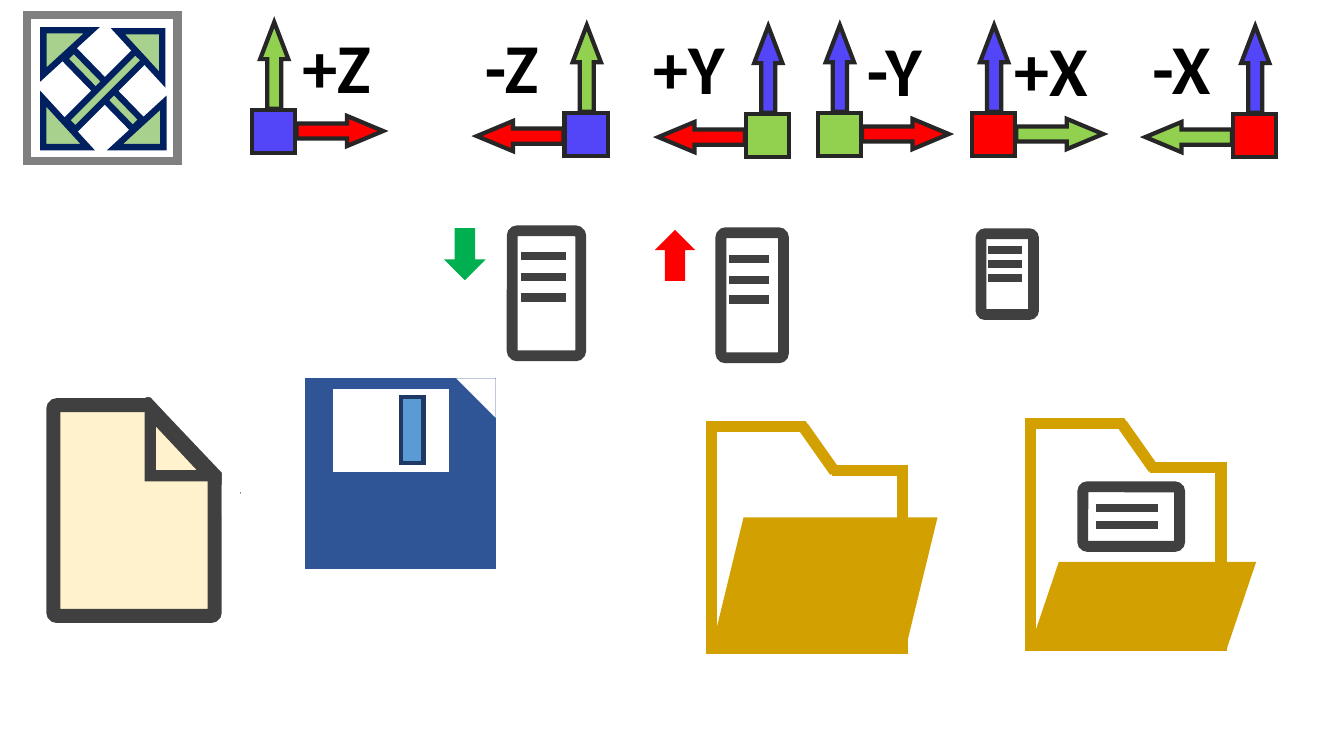
import pptx
import pptx.dml.color
import pptx.enum.shapes
import pptx.util
from lxml import etree
from pptx.oxml.ns import qn

Inches = pptx.util.Inches
Pt = pptx.util.Pt
MSO = pptx.enum.shapes.MSO_SHAPE

COLORS = {
    "white": "FFFFFF", "black": "000000", "dark": "404040", "outline": "262626",
    "red": "FF0000", "lime": "92D050", "violet": "5346F8", "green": "00B050",
    "sage": "A9D18E", "navy": "002060", "gray": "808080", "gold": "D2A000",
    "cream": "FFF2CC", "disk": "2F5597", "slider": "5B9BD5", "slider_edge": "203864",
}


def rgb(name):
    return pptx.dml.color.RGBColor.from_string(COLORS[name])


def shape(shapes, kind, x, y, w, h, fill=None, line=None, width=1, rot=0, adj=()):
    sp = shapes.add_shape(kind, Inches(x), Inches(y), Inches(w), Inches(h))
    sp.shadow.inherit = False
    sp.rotation = rot
    for i, value in enumerate(adj):
        sp.adjustments[i] = value
    if fill:
        sp.fill.solid()
        sp.fill.fore_color.rgb = rgb(fill)
    else:
        sp.fill.background()
    if line:
        sp.line.color.rgb = rgb(line)
        sp.line.width = Pt(width)
        # Sharp corners
        miter = etree.SubElement(sp.line._get_or_add_ln(), qn("a:miter"))
        miter.set("lim", "800000")
    else:
        sp.line.fill.background()
    return sp


def stroke(shapes, x1, y1, x2, y2, color, width):
    cx = shapes.add_connector(pptx.enum.shapes.MSO_CONNECTOR.STRAIGHT,
                              Inches(x1), Inches(y1), Inches(x2), Inches(y2))
    cx.line.color.rgb = rgb(color)
    cx.line.width = Pt(width)
    etree.SubElement(cx._element.spPr, qn("a:effectLst"))


def label(shapes, text, x, y):
    tf = shapes.add_textbox(Inches(x), Inches(y), Inches(1.51), Inches(0.94)).text_frame
    tf.word_wrap = True
    p = tf.paragraphs[0]
    p.text = text
    p.font.name = "Calibri"
    p.font.size = Pt(50)
    p.font.bold = True
    p.font.color.rgb = rgb("black")


def move_icon(s):
    shapes = s.shapes.add_group_shape().shapes
    arrowheads = [(0.43, 0.98, 0), (1.17, 0.31, 180), (1.16, 1, 270), (0.45, 0.28, 90)]
    for x, y, rot in arrowheads:
        shape(shapes, MSO.ISOSCELES_TRIANGLE, x, y, 0.44, 0.48, "sage", "navy", 4.5, rot, [0])
    for x, y, rot in [(0.96, 0.4, 315.8), (0.98, 0.41, 225)]:
        shape(shapes, MSO.RECTANGLE, x, y, 0.13, 0.97, "sage", "navy", 4.5, rot)
    shape(shapes, MSO.RECTANGLE, 0.27, 0.15, 1.49, 1.45, None, "gray", 6)


def axis_icon(s, text, text_x, text_y, x, y, origin, up, side, to_right):
    shapes = s.shapes.add_group_shape().shapes
    shape(shapes, MSO.RECTANGLE, x, y, 0.43, 0.43, origin, "outline", 3)
    shape(shapes, MSO.UP_ARROW, x + 0.08, y - 0.87, 0.28, 0.86, up, "outline", 3,
          adj=[0.5, 1.312])
    dx, dy, rot = (0.72, -0.22, 90) if to_right else (-0.59, -0.2, 270)
    shape(shapes, MSO.UP_ARROW, x + dx, y + dy, 0.3, 0.86, side, "outline", 3, rot,
          [0.5, 1.197])
    label(shapes, text, text_x, text_y)


def sheet_icon(s, x, y, w, h, line_x, line_w, line_ys):
    shapes = s.shapes.add_group_shape().shapes
    shape(shapes, MSO.ROUNDED_RECTANGLE, x, y, w, h, "white", "dark", 7.75, adj=[0.078])
    for line_y in line_ys:
        stroke(shapes, line_x, line_y, line_x + line_w, line_y, "dark", 6)


def folder_icon(s, x, y, flap_y, flap_h, slant):
    shapes = s.shapes
    shape(shapes, MSO.RECTANGLE, x, y, 1.89, 2.2, "white", "gold", 8)
    # Cut the upper right corner, then draw the tab edge
    shape(shapes, MSO.TRAPEZOID, x + 0.93, y - 0.07, 2.02, 0.5, "white", "white", 1, 180,
          [0.638])
    stroke(shapes, x + 0.91, y + 0.01, x + 1.22, y + 0.45, "gold", 8)
    stroke(shapes, x + 1.19, y + 0.44, x + 1.95, y + 0.44, "gold", 8)
    shape(shapes, MSO.PARALLELOGRAM, x, flap_y, 2.23, flap_h, "gold", "gold", adj=[slant])


def disk_icon(s):
    shapes = s.shapes
    shape(shapes, MSO.RECTANGLE, 3.03, 3.76, 1.88, 1.88, "disk", "disk")
    shape(shapes, MSO.ISOSCELES_TRIANGLE, 4.54, 3.76, 0.37, 0.37, "white", "white",
          rot=180, adj=[0])
    shape(shapes, MSO.RECTANGLE, 3.31, 3.87, 1.14, 0.81, "white", "white")
    shape(shapes, MSO.RECTANGLE, 3.98, 3.94, 0.22, 0.65, "slider", "slider_edge", 3)


def page_icon(s):
    shapes = s.shapes
    shape(shapes, MSO.ROUNDED_RECTANGLE, 0.53, 4.02, 1.6, 2.09, "cream", "dark", 10,
          adj=[0.023])
    # Folded corner
    shape(shapes, MSO.RIGHT_TRIANGLE, 1.49, 4.09, 0.59, 0.63, "cream", "dark", 8)
    shape(shapes, MSO.RIGHT_TRIANGLE, 1.39, 3.83, 0.96, 1.05, "white", rot=180)
    stroke(shapes, 1.44, 3.95, 2.36, 4.92, "dark", 6)
    # Trim the ends of the fold
    shape(shapes, MSO.RECTANGLE, 1.27, 3.76, 0.48, 0.18, "white")
    shape(shapes, MSO.RECTANGLE, 2.05, 4.77, 0.48, 0.18, "white", rot=90)


def main():
    prs = pptx.Presentation()
    prs.slide_width = Inches(13.33)
    prs.slide_height = Inches(7.5)
    s = prs.slides.add_slide(prs.slide_layouts[6])

    # Top row: move tool and view directions
    move_icon(s)
    axis_icon(s, "+Z", 2.9, 0.18, 2.5, 1.09, "violet", "lime", "red", True)
    axis_icon(s, "-Z", 4.71, 0.18, 5.6, 1.12, "violet", "lime", "red", False)
    axis_icon(s, "-Y", 8.5, 0.21, 8.11, 1.12, "lime", "violet", "red", True)
    axis_icon(s, "+Y", 6.38, 0.19, 7.4, 1.13, "lime", "violet", "red", False)
    axis_icon(s, "+X", 9.96, 0.21, 9.64, 1.12, "red", "violet", "lime", True)
    axis_icon(s, "-X", 11.33, 0.19, 12.23, 1.13, "red", "violet", "lime", False)

    # Bottom row: disk, folders and page
    disk_icon(s)
    folder_icon(s, 7.06, 4.23, 5.14, 1.32, 0.243)
    folder_icon(s, 10.22, 4.2, 5.58, 0.85, 0.338)
    sheet_icon(s, 10.74, 4.83, 0.96, 0.59, 10.87, 0.62, [5.04, 5.21])
    page_icon(s)

    # Middle row: import, export and plain sheet
    shape(s.shapes, MSO.UP_ARROW, 4.42, 2.27, 0.38, 0.5, "green", "green", rot=180)
    sheet_icon(s, 5.08, 2.29, 0.68, 1.24, 5.17, 0.44, [2.54, 2.75, 2.95])
    shape(s.shapes, MSO.UP_ARROW, 6.51, 2.29, 0.37, 0.49, "red", "red")
    sheet_icon(s, 7.15, 2.31, 0.62, 1.24, 7.23, 0.4, [2.57, 2.78, 2.97])
    sheet_icon(s, 9.73, 2.32, 0.52, 0.8, 9.8, 0.34, [2.48, 2.62, 2.76])

    prs.save("out.pptx")


if __name__ == "__main__":
    main()
